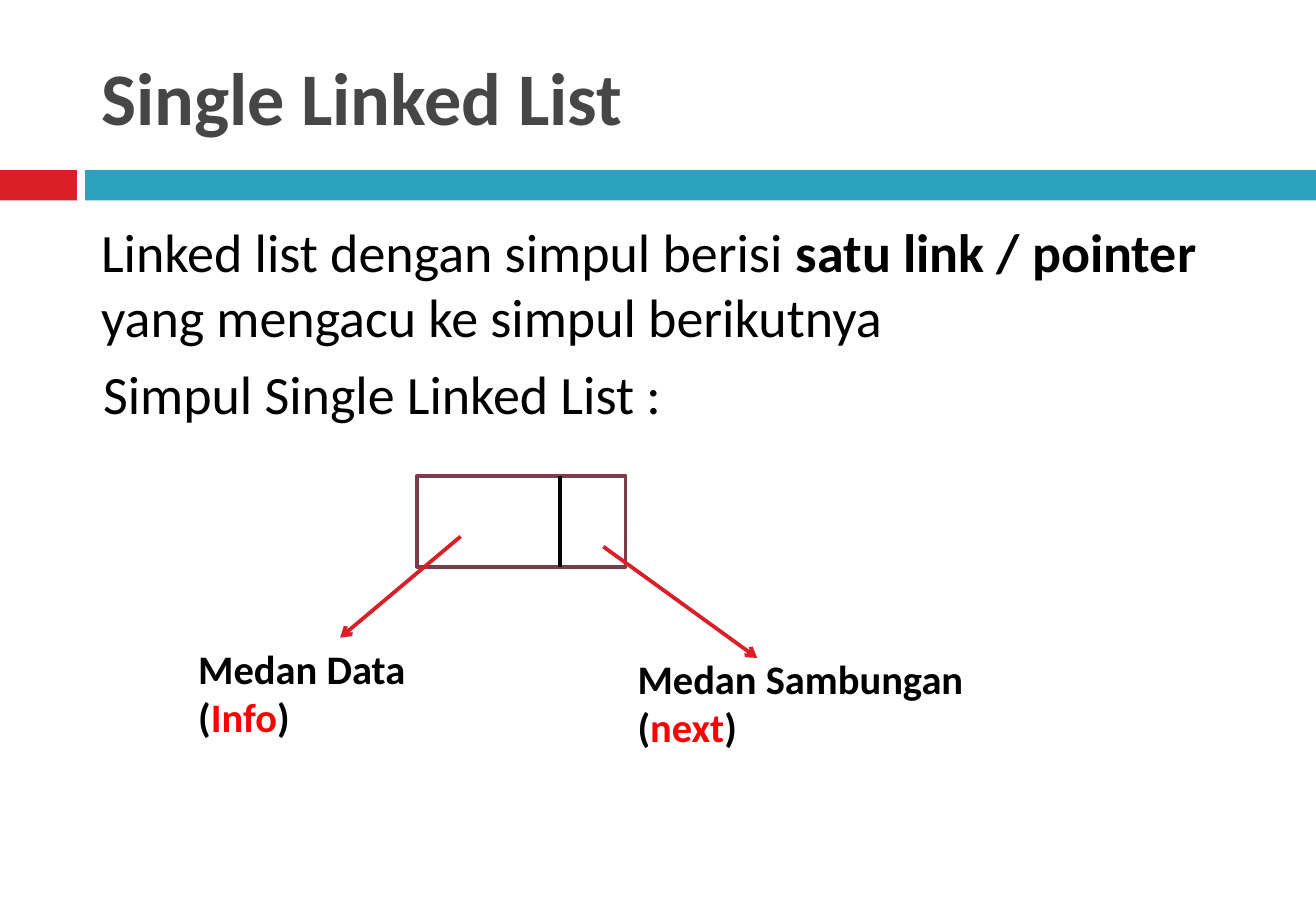
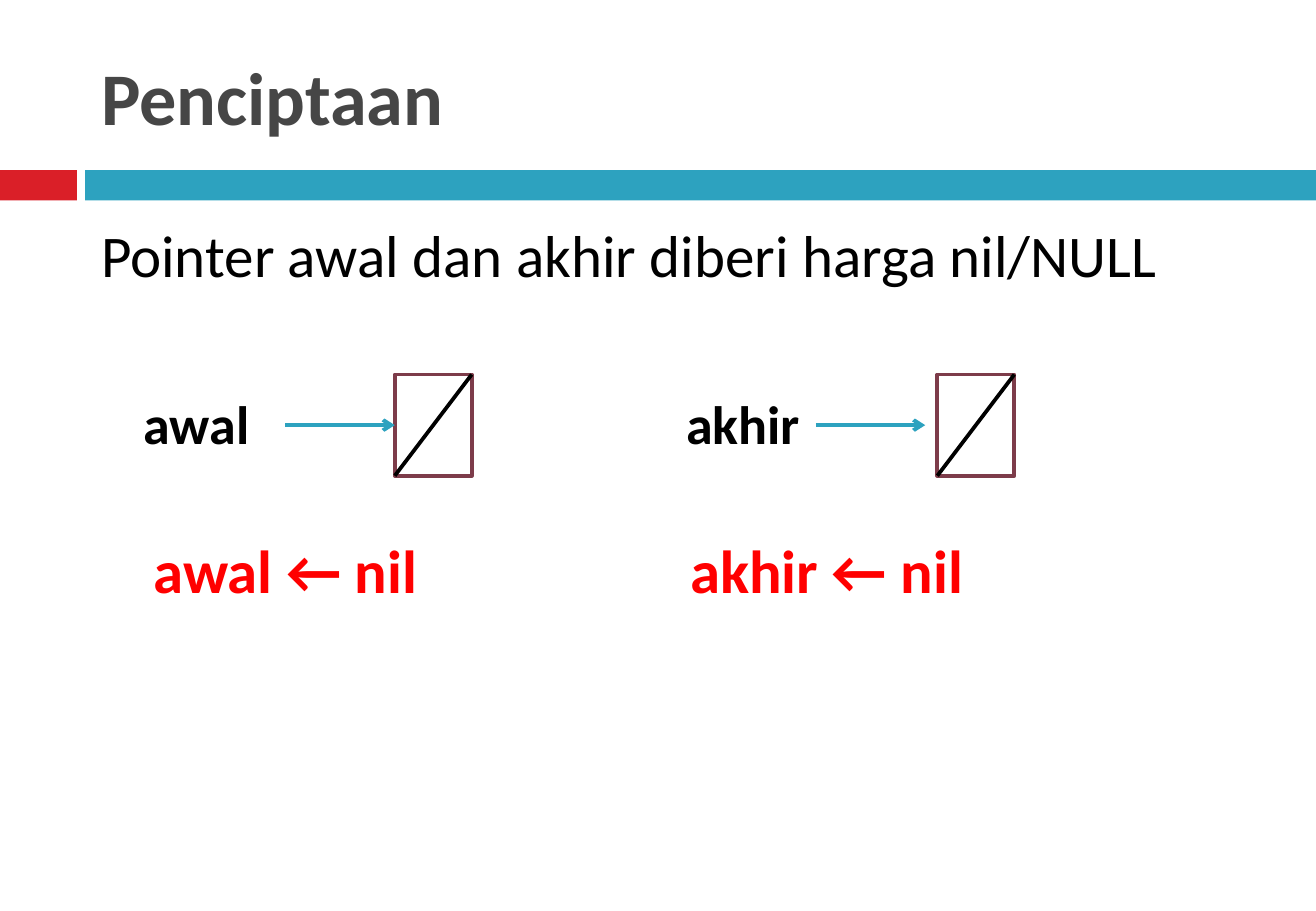
from lxml.etree import SubElement
from pptx import Presentation
from pptx.dml.color import RGBColor
from pptx.enum.shapes import MSO_CONNECTOR as Line, MSO_SHAPE as Shape
from pptx.enum.text import MSO_ANCHOR as Anchor
from pptx.oxml.ns import qn
from pptx.util import Inches, Pt

COLS, ROWS = 130, 90
UNIT = Inches(1) // 12
FONT = "Calibri"
LINE_WIDTH = Pt(2.25)
COLORS = {
    "red": "DA1F28",
    "teal": "2DA2BF",
    "title": "464646",
    "black": "000000",
    "accent": "FF0000",
    "white": "FFFFFF",
    "border": "7D3C4A",
}
MARGIN, TEXT_WIDTH = 8.8, 115.9
BODY_TOP = 21
BODY_FORMAT = {"size": Pt(32), "bold": False}
LABEL_FORMAT = {"size": Pt(24), "bold": True}
POINTER_FORMAT = {"size": Pt(32), "bold": True}
NIL_FORMAT = {"size": Pt(36), "bold": True}


def grid(*lengths):
    return [round(length * UNIT) for length in lengths]


def rgb(name):
    return RGBColor.from_string(COLORS[name])


def add_text(shapes, box, runs, text_format, before=0, anchor=Anchor.TOP, wrap=True):
    frame = shapes.add_textbox(*grid(*box)).text_frame
    frame.word_wrap = wrap
    frame.vertical_anchor = anchor
    paragraph = frame.paragraphs[0]
    paragraph.space_before = Pt(before)
    for text, color, changes in runs:
        run = paragraph.add_run()
        run.text = text
        run.font.color.rgb = rgb(color)
        for key, value in {"name": FONT, **text_format, **changes}.items():
            setattr(run.font, key, value)


def add_rect(shapes, box, fill, border=None):
    rect = shapes.add_shape(Shape.RECTANGLE, *grid(*box))
    rect.shadow.inherit = False
    rect.fill.solid()
    rect.fill.fore_color.rgb = rgb(fill)
    if border:
        rect.line.color.rgb = rgb(border)
        rect.line.width = LINE_WIDTH
    else:
        rect.line.fill.background()
    return rect


def add_line(shapes, start, end, color, arrow=False):
    line = shapes.add_connector(Line.STRAIGHT, *grid(*start, *end))
    line.line.color.rgb = rgb(color)
    line.line.width = LINE_WIDTH
    if arrow:
        SubElement(line.line._get_or_add_ln(), qn("a:tailEnd"), type="arrow")
    SubElement(line._element.spPr, qn("a:effectLst"))
    return line


def add_page(deck, title):
    shapes = deck.slides.add_slide(deck.slide_layouts[6]).shapes
    band_top, band_height, red_width, teal_left = 16.8, 3, 7.6, 8.4
    add_rect(shapes, (0, band_top, red_width, band_height), "red")
    add_rect(shapes, (teal_left, band_top, COLS - teal_left, band_height), "teal")
    add_text(shapes, (MARGIN, 3, TEXT_WIDTH, 13), [(title, "title", {})],
             {"size": Pt(44), "bold": True}, anchor=Anchor.MIDDLE)
    return shapes


def add_node(shapes, box):
    left, top, width, height = box
    node = shapes.add_group_shape().shapes
    add_rect(node, box, "white", "border")
    divider = left + width * 0.685
    add_line(node, (divider, top), (divider, top + height), "black")
    fields = (
        ("Medan Data (", "Info", (-22.8, 16, 27.1, 10.9), (4.3, 6), (-7.6, 16)),
        ("Medan Sambungan (", "next", (20.6, 17, 37.9, 10.9), (18.4, 7), (33.6, 18)),
    )
    for caption, field, (x, y, w, h), start, end in fields:
        add_text(shapes, (left + x, top + y, w, h),
                 [(caption, "black", {}), (field, "accent", {}), (")", "black", {})],
                 LABEL_FORMAT)
        add_line(shapes, (left + start[0], top + start[1]),
                 (left + end[0], top + end[1]), "red", arrow=True)


def add_nil_pointer(shapes, left, top, name, arrow_start, joined):
    pointer = shapes.add_group_shape().shapes
    box_left, box_width, box_height = left + 26, 7.6, 10
    middle = top + box_height / 2
    cell = add_rect(pointer, (box_left, top, box_width, box_height), "white", "border")
    add_line(pointer, (box_left + box_width, top), (box_left, top + box_height), "black")
    add_text(pointer, (left, top + 1, 15.1, 7.7), [(name, "black", {})],
             POINTER_FORMAT, wrap=False)
    arrow_left = left + arrow_start
    arrow = add_line(pointer, (arrow_left, middle), (arrow_left + 10.8, middle),
                     "teal", arrow=True)
    if joined:
        arrow.end_connect(cell, 1)


def add_definition_slide(deck):
    shapes = add_page(deck, "Single Linked List")
    add_text(shapes, (MARGIN, BODY_TOP, TEXT_WIDTH, 16), [
        ("Linked list dengan simpul berisi ", "black", {}),
        ("satu link / pointer ", "black", {"bold": True}),
        ("yang mengacu ke simpul berikutnya", "black", {}),
    ], BODY_FORMAT, before=7)
    add_node(shapes, (41.2, 47, 20.6, 9))
    add_text(shapes, (9, 35, TEXT_WIDTH, 8),
             [("Simpul Single Linked List :", "black", {})], BODY_FORMAT, before=7)


def add_creation_slide(deck):
    shapes = add_page(deck, "Penciptaan")
    add_text(shapes, (MARGIN, BODY_TOP, TEXT_WIDTH, 10),
             [("Pointer awal dan akhir diberi harga nil/NULL", "black", {"size": Pt(35)})],
             BODY_FORMAT, before=7)
    pointers = (("awal", 13, 14, 15.2, True), ("akhir", 66.6, 67, 14, False))
    for name, left, formula_left, arrow_start, joined in pointers:
        add_nil_pointer(shapes, left, 37, name, arrow_start, joined)
        add_text(shapes, (formula_left, 52, 55, 9),
                 [(f"{name} ← nil", "accent", {})], NIL_FORMAT, before=7)


def main():
    deck = Presentation()
    deck.slide_width, deck.slide_height = grid(COLS, ROWS)
    add_definition_slide(deck)
    add_creation_slide(deck)
    deck.save("out.pptx")


if __name__ == "__main__":
    main()
